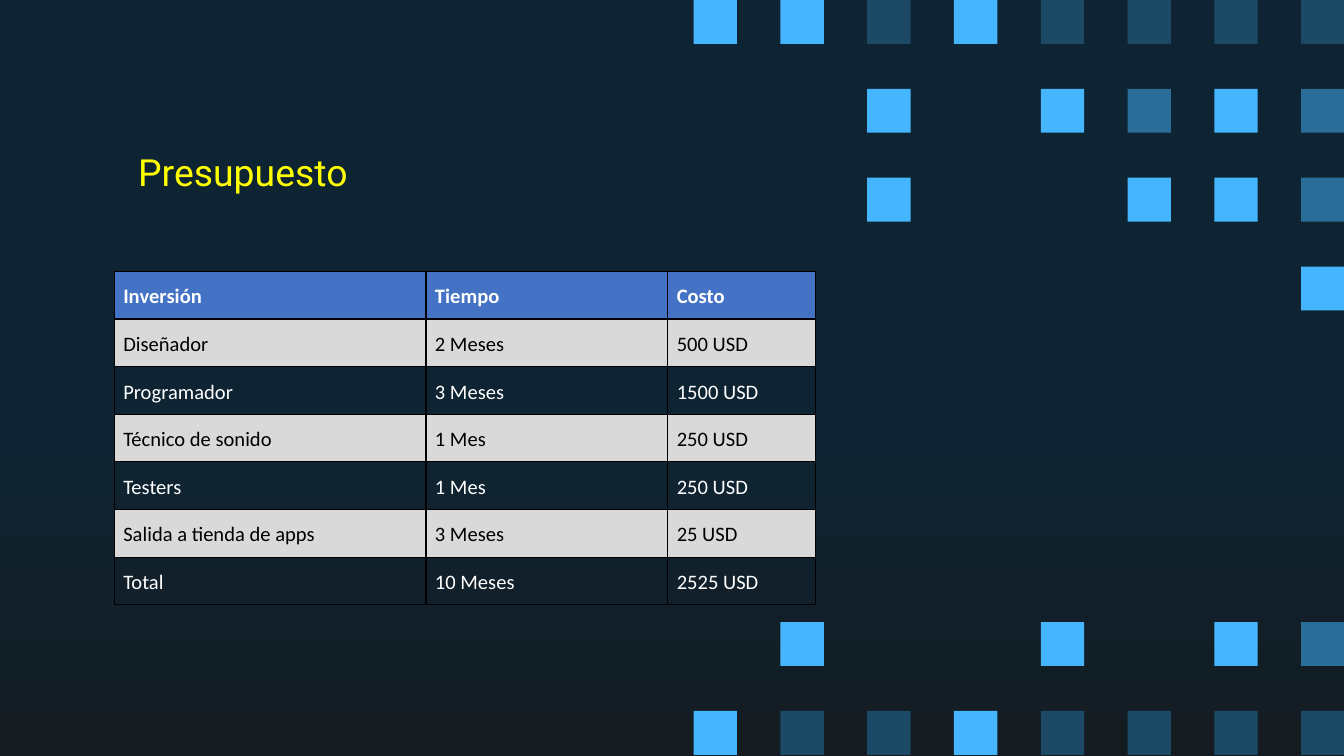
from lxml import etree
from pptx import Presentation
from pptx.dml.color import RGBColor
from pptx.enum.shapes import MSO_SHAPE
from pptx.enum.text import MSO_ANCHOR, MSO_AUTO_SIZE, PP_ALIGN
from pptx.oxml.ns import qn
from pptx.util import Cm, Pt

SQUARE = MSO_SHAPE.RECTANGLE
MIDDLE = MSO_ANCHOR.MIDDLE
LEFT = PP_ALIGN.LEFT
NO_AUTOFIT = MSO_AUTO_SIZE.NONE
TITLE_ONLY = 5

NIGHT, CHARCOAL = "0E2433", "141C21"
WHITE, BLACK, YELLOW = "FFFFFF", "000000", "FFFF00"
HEADER_BLUE, BAND_GREY = "4472C4", "D9D9D9"

# One letter per grid column: bright, medium, dark, or empty.
MOSAIC_BLUES = {"B": "45B6FE", "M": "296D98", "D": "1C4966"}
MOSAIC = [
    "BBDBDDDD",
    "..B.BMBM",
    "..B..BBM",
    ".......B",
    "",
    "",
    "",
    ".B..B.BM",
    "BDDBDDDD",
]

BUDGET = [
    ("Inversión", "Tiempo", "Costo"),
    ("Diseñador", "2 Meses", "500 USD"),
    ("Programador", "3 Meses", "1500 USD"),
    ("Técnico de sonido", "1 Mes", "250 USD"),
    ("Testers", "1 Mes", "250 USD"),
    ("Salida a tienda de apps", "3 Meses", "25 USD"),
    ("Total", "10 Meses", "2525 USD"),
]
COLUMN_WIDTHS = [5.89, 4.57, 2.79]
ROW_HEIGHT = 0.9


def rgb(hex_colour):
    return RGBColor.from_string(hex_colour)


class SlideBuilder:
    title_font, title_size = "Roboto", 20
    table_font, table_size = "Calibri", 11
    cell_margin, border_width = 0.17, 0.68

    def __init__(self, slide):
        self.slide = slide

    def background(self, top, bottom, fade_start):
        fill = self.slide.background.fill
        fill.gradient()
        fill.gradient_angle = 270
        first, last = fill.gradient_stops
        first.color.rgb, first.position = rgb(top), fade_start
        last.color.rgb, last.position = rgb(bottom), 1

    def square(self, left, top, width, height, colour):
        tile = self.slide.shapes.add_shape(
            SQUARE, Cm(left), Cm(top), Cm(width), Cm(height))
        tile.shadow.inherit = False
        tile.fill.solid()
        tile.fill.fore_color.rgb = rgb(colour)
        tile.line.fill.background()

    def mosaic(self, rows, left, column_pitch, row_pitch):
        for row, letters in enumerate(rows):
            for column, letter in enumerate(letters):
                if letter in MOSAIC_BLUES:
                    self.square(left + column * column_pitch, row * row_pitch,
                                0.82, 0.83, MOSAIC_BLUES[letter])

    def title(self, text, left, top, width, height):
        heading = self.slide.shapes.title
        heading.left, heading.top = Cm(left), Cm(top)
        heading.width, heading.height = Cm(width), Cm(height)
        frame = heading.text_frame
        frame.text = text
        frame.auto_size = NO_AUTOFIT
        frame.vertical_anchor = MIDDLE
        frame.margin_left = frame.margin_right = Cm(0.25)
        frame.margin_top = frame.margin_bottom = Cm(0.25)
        paragraph = frame.paragraphs[0]
        paragraph.alignment = LEFT
        self.font(paragraph, self.title_font, self.title_size, YELLOW)

    def font(self, paragraph, name, size, colour, bold=False):
        font = paragraph.font
        font.name, font.size, font.bold = name, Pt(size), bold
        font.color.rgb = rgb(colour)

    def table(self, rows, left, top, column_widths, row_height):
        table = self.slide.shapes.add_table(
            len(rows), len(column_widths), Cm(left), Cm(top),
            Cm(sum(column_widths)), Cm(row_height * len(rows))).table
        for column, width in zip(table.columns, column_widths):
            column.width = Cm(width)
        for r, texts in enumerate(rows):
            if r == 0:
                fill, colour = HEADER_BLUE, WHITE
            elif r % 2:
                fill, colour = BAND_GREY, BLACK
            else:
                fill, colour = None, WHITE
            for c, text in enumerate(texts):
                self.cell(table.cell(r, c), text, fill, colour, bold=r == 0)

    def cell(self, cell, text, fill, colour, bold):
        cell.text = text
        cell.margin_left = cell.margin_right = Cm(self.cell_margin)
        cell.margin_top = cell.margin_bottom = Cm(self.cell_margin)
        paragraph = cell.text_frame.paragraphs[0]
        paragraph.line_spacing = 1.15
        self.font(paragraph, self.table_font, self.table_size, colour, bold)
        self.borders(cell)
        if fill:
            cell.fill.solid()
            cell.fill.fore_color.rgb = rgb(fill)
        else:
            cell.fill.background()

    def borders(self, cell):
        """Outline the cell; must run before its fill, which follows in the XML."""
        properties = cell._tc.get_or_add_tcPr()
        for side in ("a:lnL", "a:lnR", "a:lnT", "a:lnB"):
            line = etree.SubElement(properties, qn(side),
                                    w=str(Pt(self.border_width)))
            solid = etree.SubElement(line, qn("a:solidFill"))
            etree.SubElement(solid, qn("a:srgbClr"), val=BLACK)


def main():
    deck = Presentation()
    deck.slide_width, deck.slide_height = Cm(25.4), Cm(14.29)
    builder = SlideBuilder(deck.slides.add_slide(deck.slide_layouts[TITLE_ONLY]))
    builder.background(NIGHT, CHARCOAL, fade_start=0.56)
    builder.mosaic(MOSAIC, left=13.11, column_pitch=1.64, row_pitch=1.68)
    builder.title("Presupuesto", 2.36, 2.13, 12.45, 2.24)
    builder.table(BUDGET, 2.16, 5.13, COLUMN_WIDTHS, ROW_HEIGHT)
    deck.save("out.pptx")


if __name__ == "__main__":
    main()
